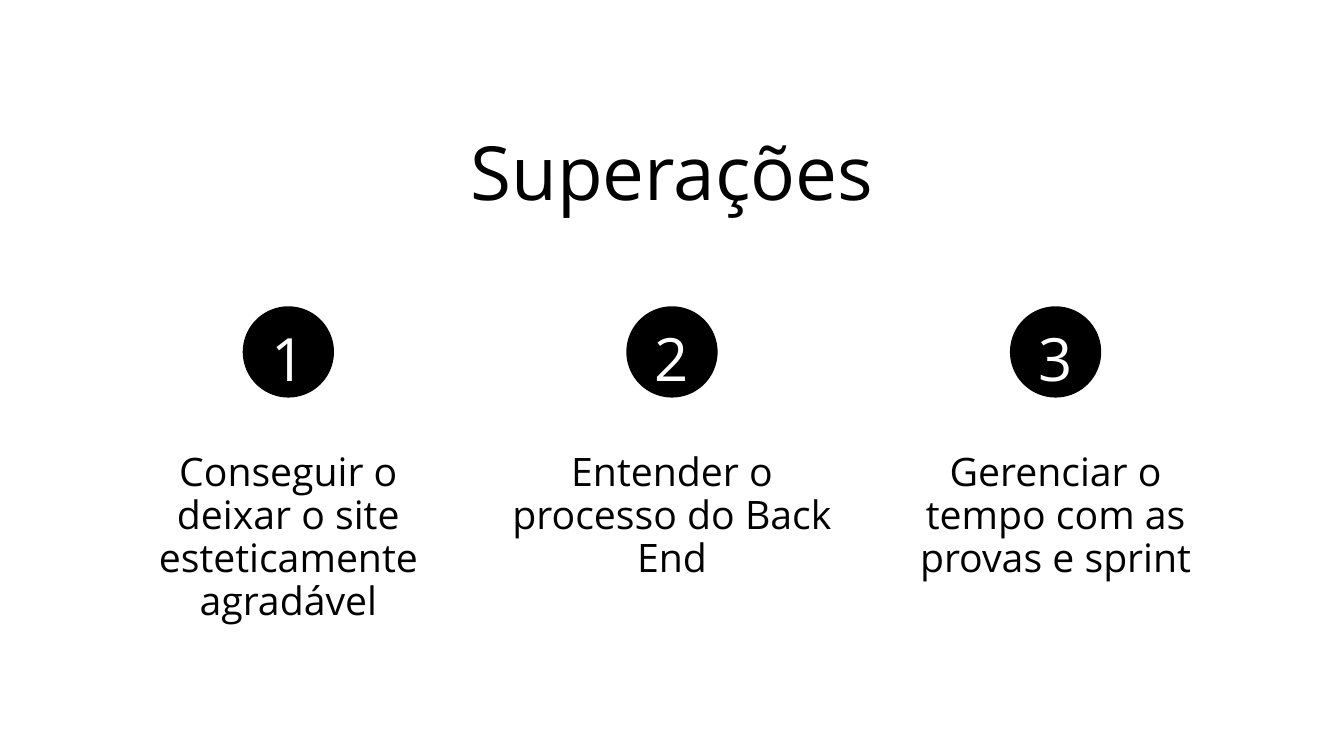
from pptx import Presentation
from pptx.dml.color import RGBColor as RGB
from pptx.enum.shapes import MSO_SHAPE as Shape
from pptx.enum.text import MSO_ANCHOR as Anchor, MSO_AUTO_SIZE as Fit, PP_ALIGN as Align
from pptx.util import Cm, Pt

TITLE = "Superações"
ITEMS = [
    "Conseguir o deixar o site esteticamente agradável",
    "Entender o processo do Back End",
    "Gerenciar o tempo com as provas e sprint",
]

BLACK, WHITE = RGB(0, 0, 0), RGB(255, 255, 255)
THEME = {
    "font": "Open Sans",
    # role: (size, line spacing, colour)
    "title": (80, 96, BLACK),
    "number": (64, 100.5, WHITE),
    "item": (42, 46.2, BLACK),
}

WIDTH, HEIGHT = 50.8, 28.58
PITCH = 14.5    # between column centres
DISC = 3.45
ITEM_W = 12.72


def place(shape, mid, top, width, height):
    """Centre the shape on mid; all lengths in centimetres."""
    shape.left, shape.top = Cm(mid - width / 2), Cm(top)
    shape.width, shape.height = Cm(width), Cm(height)


def write(shape, text, role):
    size, line, colour = THEME[role]
    frame = shape.text_frame
    frame.text = text
    frame.word_wrap = True
    frame.auto_size = Fit.NONE
    frame.vertical_anchor = Anchor.TOP
    frame.margin_left = frame.margin_right = 0
    frame.margin_top = frame.margin_bottom = 0
    para = frame.paragraphs[0]
    para.alignment = Align.CENTER
    para.line_spacing = Pt(line)
    font = para.runs[0].font
    font.name, font.size = THEME["font"], Pt(size)
    font.color.rgb = colour


def add_text(slide, text, role, *spot):
    box = slide.shapes.add_textbox(0, 0, 0, 0)
    place(box, *spot)
    write(box, text, role)


def add_disc(slide, mid, top):
    disc = slide.shapes.add_shape(Shape.OVAL, 0, 0, 0, 0)
    place(disc, mid, top, DISC, DISC)
    disc.shadow.inherit = False
    disc.fill.solid()
    disc.fill.fore_color.rgb = BLACK
    disc.line.fill.background()


def main():
    deck = Presentation()
    deck.slide_width, deck.slide_height = Cm(WIDTH), Cm(HEIGHT)
    slide = deck.slides.add_slide(deck.slide_layouts[5])
    place(slide.shapes.title, WIDTH / 2, 4.75, 30.18, 3.38)
    write(slide.shapes.title, TITLE, "title")

    for i, item in enumerate(ITEMS):
        mid = WIDTH / 2 + (i - (len(ITEMS) - 1) / 2) * PITCH
        add_disc(slide, mid, 11.58)
        add_text(slide, str(i + 1), "number", mid, 11.33, DISC, 3.33)
        add_text(slide, item, "item", mid, 17.04, ITEM_W, 6.5)

    deck.save("out.pptx")


if __name__ == "__main__":
    main()
